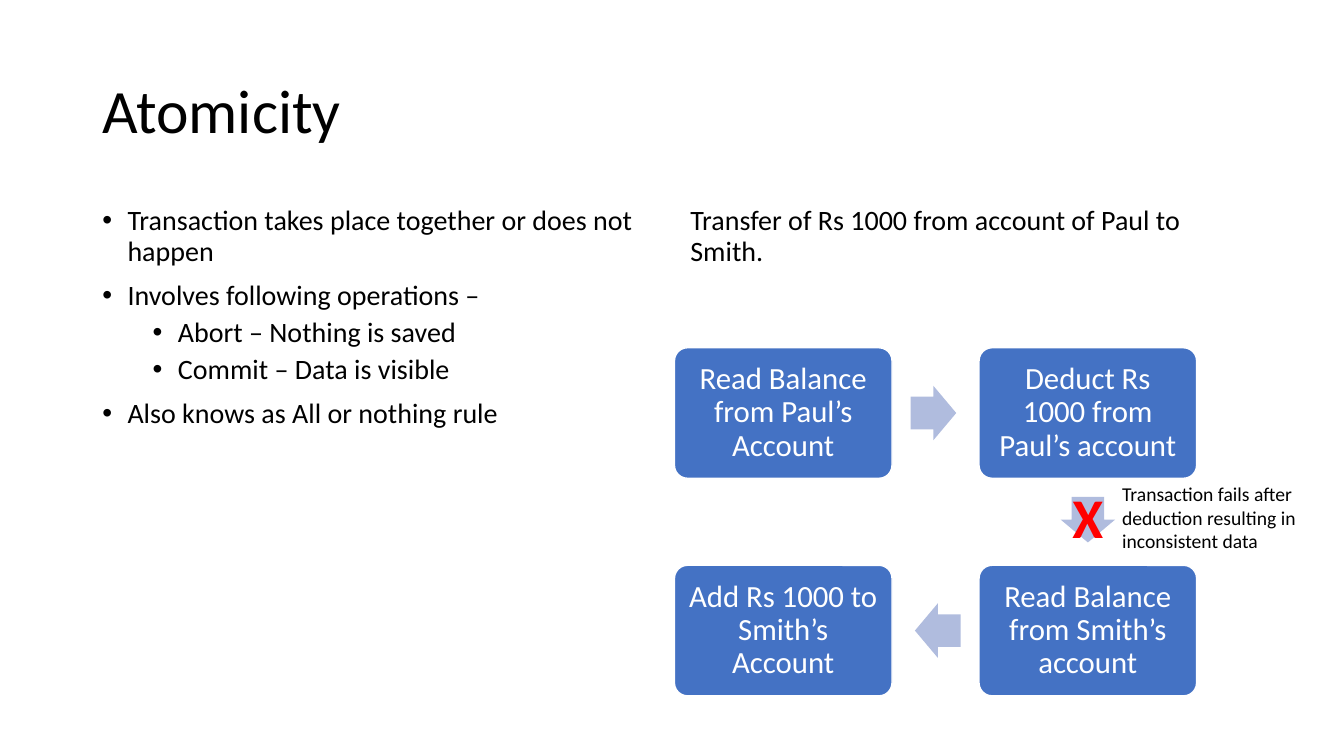
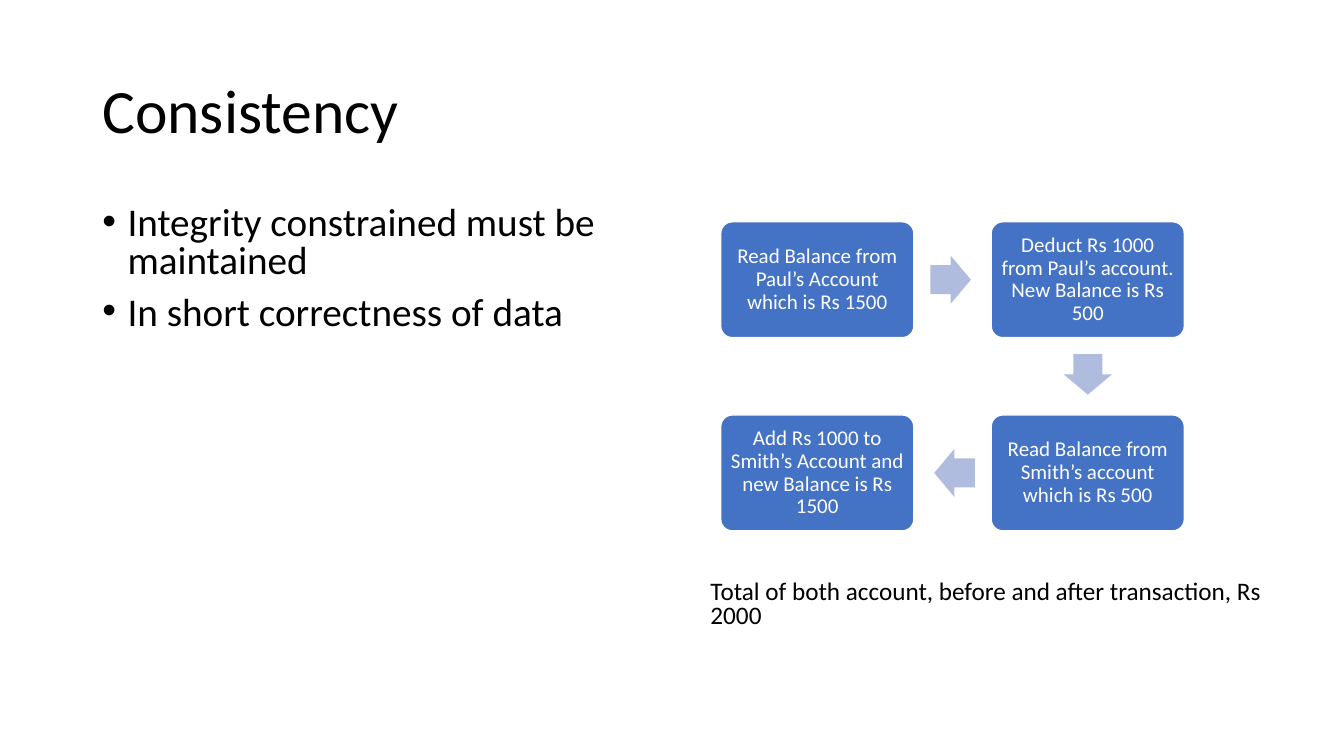
from dataclasses import dataclass
from typing import NamedTuple

import pptx
import pptx.dml.color
import pptx.enum.shapes
import pptx.enum.text
import pptx.oxml.ns
import pptx.util
from lxml import etree

COLS, ROWS = 160, 90
CELL = pptx.util.Inches(13.333) / COLS
FACE = "Calibri"
BLACK, WHITE, RED = "000000", "FFFFFF", "FF0000"
BLUE, PALE = "4472C4", "B0BCDE"
KIND = pptx.enum.shapes.MSO_SHAPE
ALIGN = pptx.enum.text.PP_ALIGN
ANCHOR = pptx.enum.text.MSO_ANCHOR


class Area(NamedTuple):
    """Place in grid columns and rows."""
    left: float
    top: float
    wide: float
    high: float


@dataclass
class Style:
    size: float
    color: str = BLACK
    bold: bool = False
    lead: float = 0.9
    before: float = 0
    bullet: bool = False
    level: int = 0
    align: ALIGN = ALIGN.LEFT


@dataclass
class Line:
    text: str
    style: Style


@dataclass
class Note:
    area: Area
    lines: list[Line]
    anchor: ANCHOR = ANCHOR.TOP


@dataclass
class Flow:
    """Four steps, clockwise; wide is the width of one step."""
    left: float
    top: float
    wide: float
    size: float
    inset: float
    steps: list[str]


@dataclass
class Page:
    title: str
    notes: list[Note]
    flow: Flow
    marks: list[Note]


class Spot(NamedTuple):
    """Centre of an arrow, in step widths, and its turn in degrees."""
    x: float
    y: float
    turn: int


TITLE = Area(11, 4.8, 138, 17.4)
BODY = Area(11, 24, 68, 57)
STEP_HIGH, PITCH_X, PITCH_Y = 0.6, 1.4, 1
ARROW_WIDE, ARROW_HIGH = 0.21, 0.25
SEATS = [(0, 0), (1, 0), (1, 1), (0, 1)]
SPOTS = [Spot(1.19, 0.3, 0), Spot(1.9, 0.79, 90), Spot(1.21, 1.3, 180)]

HEAD = Style(44)
POINT = Style(20, before=10, bullet=True)
SUB = Style(20, before=5, bullet=True, level=1)
LARGE = Style(28, lead=0.8, before=10, bullet=True)

PAGES = [
    Page(
        "Atomicity",
        [
            Note(BODY, [
                Line("Transaction takes place together or does not happen", POINT),
                Line("Involves following operations –", POINT),
                Line("Abort – Nothing is saved", SUB),
                Line("Commit – Data is visible", SUB),
                Line("Also knows as All or nothing rule", POINT),
            ]),
            Note(Area(81, 24, 68, 12.4), [
                Line("Transfer of Rs 1000 from account of Paul to Smith.",
                     Style(20, before=10)),
            ]),
        ],
        Flow(80.3, 41.4, 25.9, 22, 0.09, [
            "Read Balance from Paul’s Account",
            "Deduct Rs 1000 from Paul’s account",
            "Read Balance from Smith’s account",
            "Add Rs 1000 to Smith’s Account",
        ]),
        [
            Note(Area(132.4, 56.8, 26.8, 9.7), [
                Line("Transaction fails after deduction resulting in "
                     "inconsistent data", Style(14, lead=1)),
            ]),
            Note(Area(126.5, 56.8, 5.3, 9.2), [
                Line("X", Style(40, RED, bold=True, lead=1)),
            ]),
        ],
    ),
    Page(
        "Consistency",
        [
            Note(BODY, [
                Line("Integrity constrained must be maintained", LARGE),
                Line("In short correctness of data", LARGE),
            ]),
            Note(Area(83.4, 68.6, 68, 7.6), [
                Line("Total of both account, before and after transaction, "
                     "Rs 2000", Style(18, lead=0.8, before=10)),
            ]),
        ],
        Flow(85.8, 26.4, 23, 15, 0.06, [
            "Read Balance from Paul’s Account which is Rs 1500",
            "Deduct Rs 1000 from Paul’s account. New Balance is Rs 500",
            "Read Balance from Smith’s account which is Rs 500",
            "Add Rs 1000 to Smith’s Account and new Balance is Rs 1500",
        ]),
        [],
    ),
]


def paint(color: str) -> pptx.dml.color.RGBColor:
    return pptx.dml.color.RGBColor.from_string(color)


def place(area: Area) -> list[int]:
    return [round(side * CELL) for side in area]


def add_dot(para, level: int) -> None:
    """Give a paragraph a bullet and a hanging indent."""
    props = para._p.get_or_add_pPr()
    props.set("marL", str(pptx.util.Inches(0.25 + 0.5 * level)))
    props.set("indent", str(pptx.util.Inches(-0.25)))
    font = etree.SubElement(props, pptx.oxml.ns.qn("a:buFont"))
    font.set("typeface", "Arial")
    mark = etree.SubElement(props, pptx.oxml.ns.qn("a:buChar"))
    mark.set("char", "•")


def write(frame, lines: list[Line], anchor: ANCHOR) -> None:
    frame.word_wrap = True
    frame.vertical_anchor = anchor
    for i, line in enumerate(lines):
        para = frame.add_paragraph() if i else frame.paragraphs[0]
        style = line.style
        para.text = line.text
        para.level = style.level
        para.alignment = style.align
        para.line_spacing = style.lead
        para.space_before = pptx.util.Pt(style.before)
        if style.bullet:
            add_dot(para, style.level)
        para.font.name = FACE
        para.font.size = pptx.util.Pt(style.size)
        para.font.bold = style.bold
        para.font.color.rgb = paint(style.color)


def draw_note(slide, note: Note) -> None:
    box = slide.shapes.add_textbox(*place(note.area))
    write(box.text_frame, note.lines, note.anchor)


def add_form(slide, kind: KIND, area: Area, fill: str):
    form = slide.shapes.add_shape(kind, *place(area))
    form.shadow.inherit = False
    form.fill.solid()
    form.fill.fore_color.rgb = paint(fill)
    return form


def draw_step(slide, flow: Flow, seat: tuple[int, int], text: str) -> None:
    col, row = seat
    wide = flow.wide
    area = Area(flow.left + col * PITCH_X * wide,
                flow.top + row * PITCH_Y * wide, wide, STEP_HIGH * wide)
    step = add_form(slide, KIND.ROUNDED_RECTANGLE, area, BLUE)
    step.adjustments[0] = 0.1
    step.line.color.rgb = paint(WHITE)
    step.line.width = pptx.util.Pt(1)
    frame = step.text_frame
    inset = pptx.util.Inches(flow.inset)
    frame.margin_left = frame.margin_right = inset
    frame.margin_top = frame.margin_bottom = inset
    style = Style(flow.size, WHITE, align=ALIGN.CENTER)
    write(frame, [Line(text, style)], ANCHOR.MIDDLE)


def draw_arrow(slide, flow: Flow, spot: Spot) -> None:
    wide, high = ARROW_WIDE * flow.wide, ARROW_HIGH * flow.wide
    area = Area(flow.left + spot.x * flow.wide - wide / 2,
                flow.top + spot.y * flow.wide - high / 2, wide, high)
    arrow = add_form(slide, KIND.RIGHT_ARROW, area, PALE)
    arrow.adjustments[0] = 0.6
    arrow.adjustments[1] = 0.5
    arrow.rotation = spot.turn
    arrow.line.fill.background()


def draw_page(slide, page: Page) -> None:
    draw_note(slide, Note(TITLE, [Line(page.title, HEAD)], ANCHOR.MIDDLE))
    for note in page.notes:
        draw_note(slide, note)
    for seat, text in zip(SEATS, page.flow.steps):
        draw_step(slide, page.flow, seat, text)
    for spot in SPOTS:
        draw_arrow(slide, page.flow, spot)
    for mark in page.marks:
        draw_note(slide, mark)


def main() -> None:
    deck = pptx.Presentation()
    deck.slide_width = round(COLS * CELL)
    deck.slide_height = round(ROWS * CELL)
    for page in PAGES:
        draw_page(deck.slides.add_slide(deck.slide_layouts[6]), page)
    deck.save("out.pptx")


if __name__ == "__main__":
    main()
